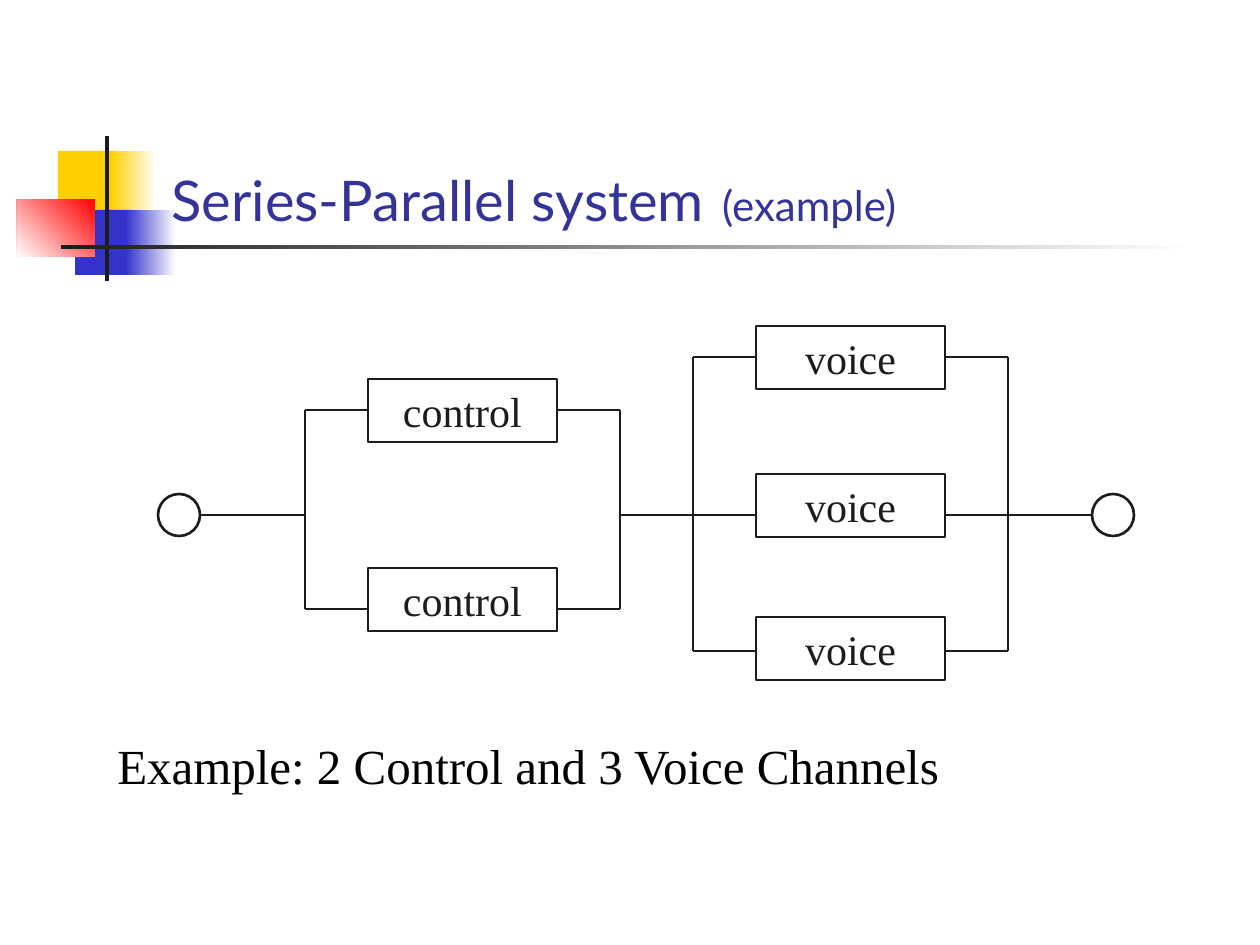
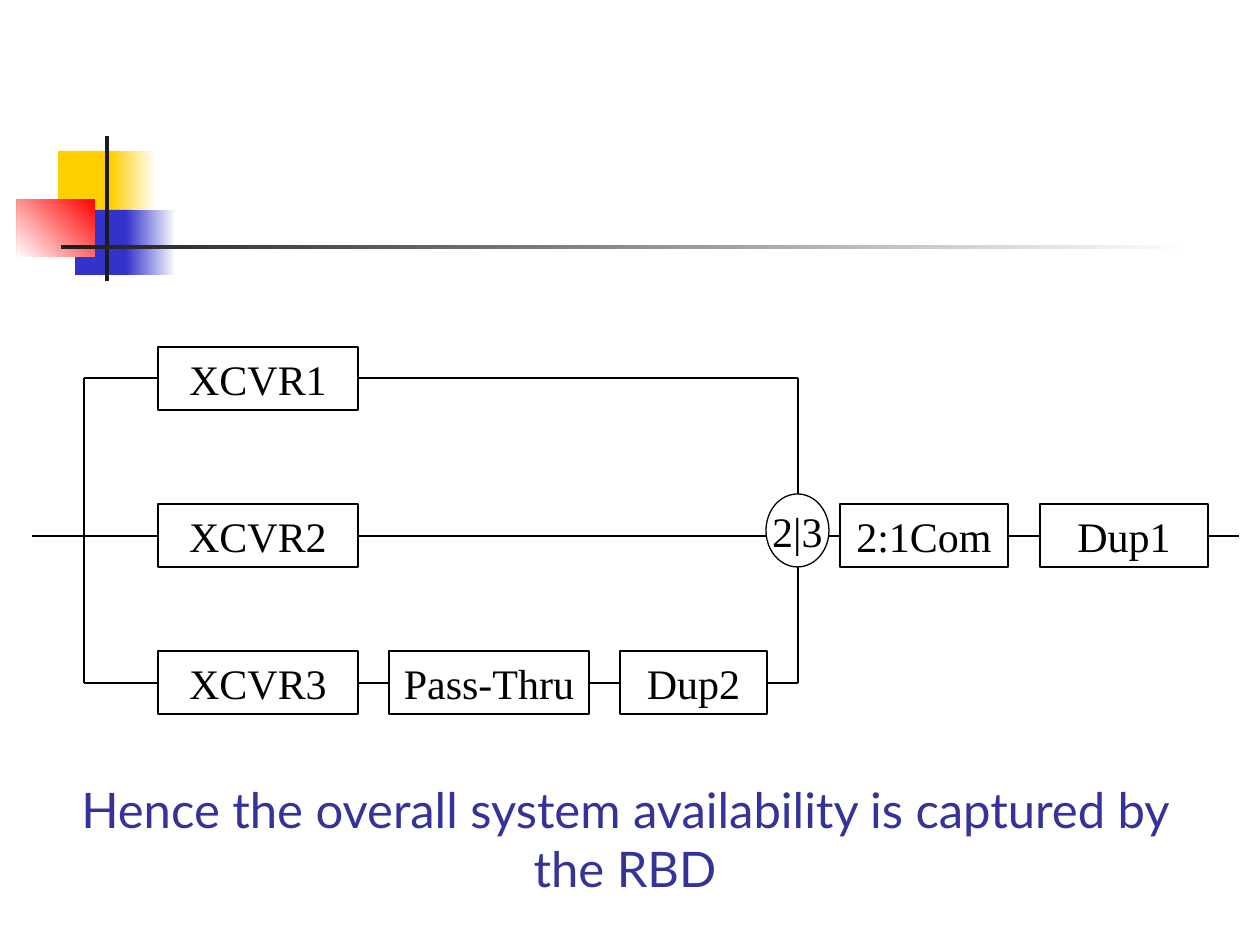
from dataclasses import dataclass
from functools import partial

from lxml.etree import SubElement
from pptx import Presentation
from pptx.dml.color import RGBColor
from pptx.enum.shapes import MSO_CONNECTOR, MSO_SHAPE
from pptx.enum.text import MSO_ANCHOR, MSO_AUTO_SIZE, PP_ALIGN
from pptx.oxml.ns import qn
from pptx.util import Pt

EMU_PER_PX = 914400 / 126
TITLE_ONLY, BLANK = 5, 6
RECT, OVAL = MSO_SHAPE.RECTANGLE, MSO_SHAPE.OVAL


@dataclass(frozen=True)
class Theme:
    white: str = "FFFFFF"
    black: str = "000000"
    ink: str = "1C1C1C"
    heading: str = "333399"
    yellow: str = "FFCF01"
    blue: str = "3333CC"
    red: str = "FF0000"
    heading_font: str = "Lato"
    body_font: str = "Times New Roman"
    title_size: int = 32
    title_gap_size: int = 40
    note_size: int = 24
    label_size: int = 24
    caption_size: int = 28


THEME = Theme()

# Area, colours (one is solid, two are a gradient), gradient angle
ORNAMENTS = [
    ((58, 151, 60, 66), [THEME.yellow], 0),
    ((111, 151, 45, 66), [THEME.white, THEME.yellow], 180),
    ((75, 210, 58, 65), [THEME.blue], 0),
    ((126, 210, 50, 65), [THEME.white, THEME.blue], 180),
    ((17, 199, 78, 58), [THEME.red, THEME.white], 225),
    ((105, 136, 4, 145), [THEME.ink], 0),
    ((61, 245, 1134, 4), [THEME.white, THEME.ink], 180),
]

TITLE_AREA = (159, 106, 1040, 136)
TITLE_SPANS = [("Series-Parallel system", THEME.title_size),
               (" ", THEME.title_gap_size),
               ("(example)", THEME.note_size)]


def block(label, left, top, width, height=63, kind=RECT):
    return label, (left, top, width, height), kind


control = partial(block, "control", 368, width=189)
voice = partial(block, "voice", 756, width=189)
terminal = partial(block, "", top=494, width=42, height=42, kind=OVAL)

# Rails are (x, top, bottom); rows are (wire y, start, end, blocks)
CHANNELS = {
    "color": THEME.ink,
    "line_width": 1.5,
    "rails": [(305, 410, 609), (620, 410, 609), (693, 357, 651), (1008, 357, 651)],
    "rows": [
        (410, 305, 620, [control(top=379)]),
        (609, 305, 620, [control(top=568)]),
        (357, 693, 1008, [voice(top=326)]),
        (651, 693, 1008, [voice(top=617)]),
        (515, 158, 305, [terminal(left=158)]),
        (515, 620, 1134, [voice(top=474), terminal(left=1092)]),
    ],
}

TRANSCEIVERS = {
    "color": THEME.black,
    "line_width": 0.75,
    "rails": [(84, 378, 683), (798, 378, 683)],
    "rows": [
        (378, 84, 798, [block("XCVR1", 158, 347, 200)]),
        (536, 32, 1239, [block("XCVR2", 158, 504, 200),
                         block("2|3", 766, 494, 63, 73, OVAL),
                         block("2:1Com", 840, 504, 168),
                         block("Dup1", 1040, 504, 168)]),
        (683, 84, 798, [block("XCVR3", 158, 651, 200),
                        block("Pass-Thru", 389, 651, 200),
                        block("Dup2", 620, 651, 147)]),
    ],
}

CHANNELS_CAPTION = "Example: 2 Control and 3 Voice Channels"
RBD_CAPTION = "Hence the overall system availability is captured by the RBD"


def px(*lengths):
    return [round(length * EMU_PER_PX) for length in lengths]


def rgb(code):
    return RGBColor.from_string(code)


def write(box, spans, font, color, align=PP_ALIGN.LEFT, anchor=MSO_ANCHOR.TOP,
          wrap=True, line_spacing=None):
    """Fill a shape with one paragraph of (text, size) spans."""
    frame = box.text_frame
    frame.auto_size = MSO_AUTO_SIZE.NONE
    frame.word_wrap = wrap
    frame.vertical_anchor = anchor
    para = frame.paragraphs[0]
    para.alignment = align
    para.line_spacing = line_spacing
    for text, size in spans:
        span = para.add_run()
        span.text = text
        span.font.name = font
        span.font.size = Pt(size)
        span.font.color.rgb = rgb(color)


def add_text(slide, area, text, **style):
    box = slide.shapes.add_textbox(*px(*area))
    write(box, [(text, THEME.caption_size)], **style)


def add_plain_shape(slide, kind, area):
    shape = slide.shapes.add_shape(kind, *px(*area))
    shape.shadow.inherit = False
    return shape


def move_ornaments_to_master(deck, slide):
    """Draw the ornaments on a slide, then hand them to its master."""
    master_tree = deck.slide_master.shapes.element
    for area, colors, angle in ORNAMENTS:
        shape = add_plain_shape(slide, RECT, area)
        shape.line.fill.background()
        if len(colors) == 1:
            shape.fill.solid()
            shape.fill.fore_color.rgb = rgb(colors[0])
        else:
            shape.fill.gradient()
            shape.fill.gradient_angle = angle
            for stop, color, position in zip(shape.fill.gradient_stops, colors, (0, 1)):
                stop.color.rgb = rgb(color)
                stop.position = position
        master_tree.append(shape.element)


def add_wire(slide, start, end, color, width):
    wire = slide.shapes.add_connector(MSO_CONNECTOR.STRAIGHT, *px(*start, *end))
    wire.line.color.rgb = rgb(color)
    wire.line.width = Pt(width)
    SubElement(wire.element.spPr, qn("a:effectLst"))


def add_block(slide, label, area, kind, color, width):
    shape = add_plain_shape(slide, kind, area)
    shape.fill.solid()
    shape.fill.fore_color.rgb = rgb(THEME.white)
    shape.line.color.rgb = rgb(color)
    shape.line.width = Pt(width)
    if label:
        write(shape, [(label, THEME.label_size)], THEME.body_font, color,
              align=PP_ALIGN.CENTER, anchor=MSO_ANCHOR.MIDDLE, wrap=False)


def add_diagram(slide, diagram):
    """Draw rails, then each row's wires in the gaps between its blocks."""
    pen = diagram["color"], diagram["line_width"]
    for x, top, bottom in diagram["rails"]:
        add_wire(slide, (x, top), (x, bottom), *pen)
    for y, start, end, blocks in diagram["rows"]:
        lefts = [area[0] for _, area, _ in blocks]
        rights = [area[0] + area[2] for _, area, _ in blocks]
        for left, right in zip([start, *rights], [*lefts, end]):
            if left < right:
                add_wire(slide, (left, y), (right, y), *pen)
    for *_, blocks in diagram["rows"]:
        for part in blocks:
            add_block(slide, *part, *pen)


def add_channels_slide(deck):
    slide = deck.slides.add_slide(deck.slide_layouts[TITLE_ONLY])
    title = slide.shapes.title
    title.left, title.top, title.width, title.height = px(*TITLE_AREA)
    write(title, TITLE_SPANS, THEME.heading_font, THEME.heading,
          anchor=MSO_ANCHOR.BOTTOM)
    add_text(slide, (105, 741, 955, 116), CHANNELS_CAPTION,
             font=THEME.body_font, color=THEME.black, line_spacing=0.8)
    add_diagram(slide, CHANNELS)
    return slide


def add_transceivers_slide(deck):
    slide = deck.slides.add_slide(deck.slide_layouts[BLANK])
    add_diagram(slide, TRANSCEIVERS)
    add_text(slide, (63, 773, 1124, 131), RBD_CAPTION,
             font=THEME.heading_font, color=THEME.heading, align=PP_ALIGN.CENTER)


def main():
    deck = Presentation()
    deck.slide_width, deck.slide_height = px(1260, 945)
    channels = add_channels_slide(deck)
    move_ornaments_to_master(deck, channels)
    add_transceivers_slide(deck)
    deck.save("out.pptx")


if __name__ == "__main__":
    main()
